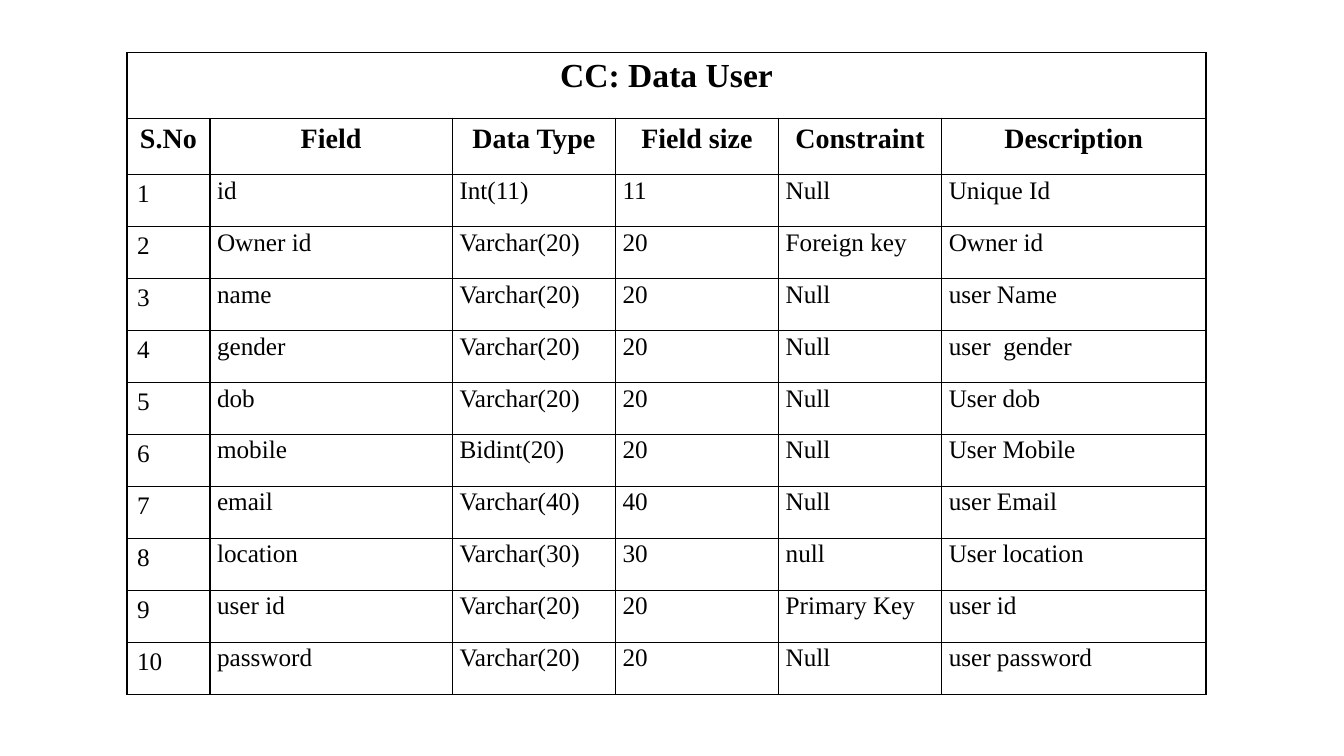
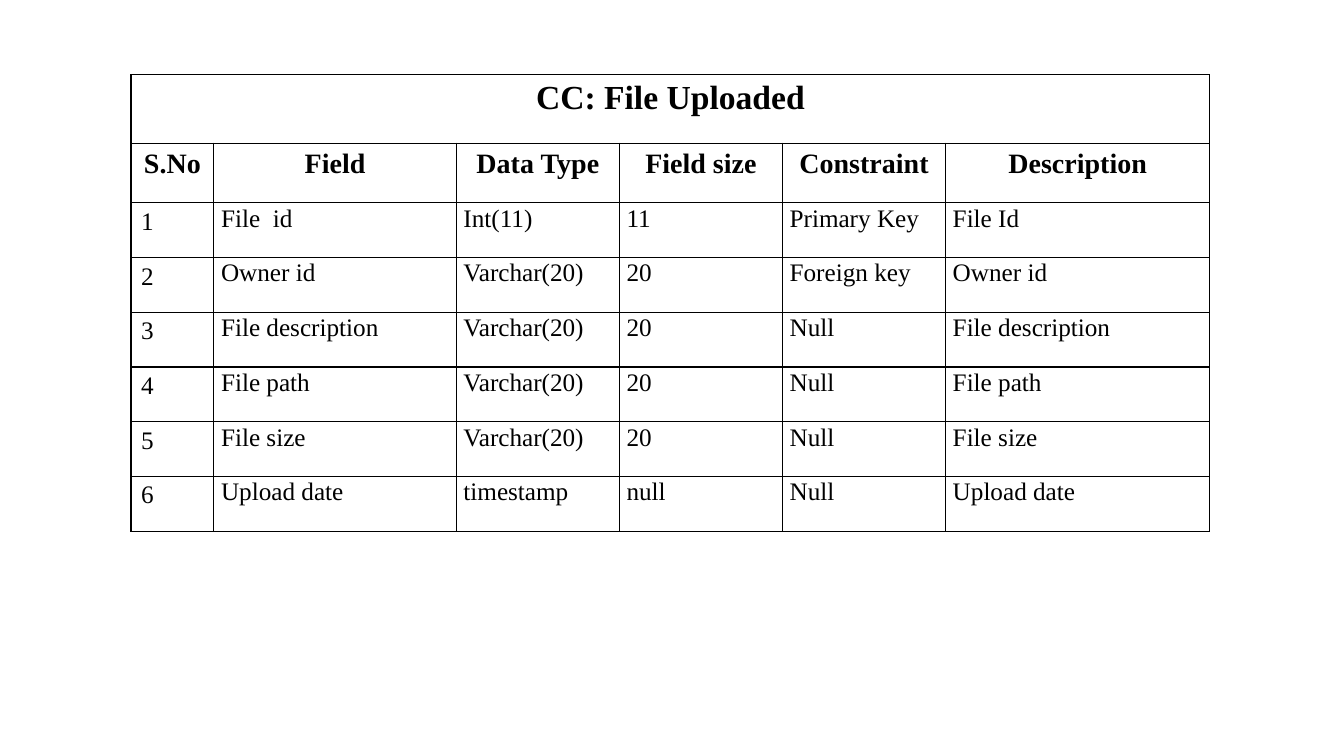
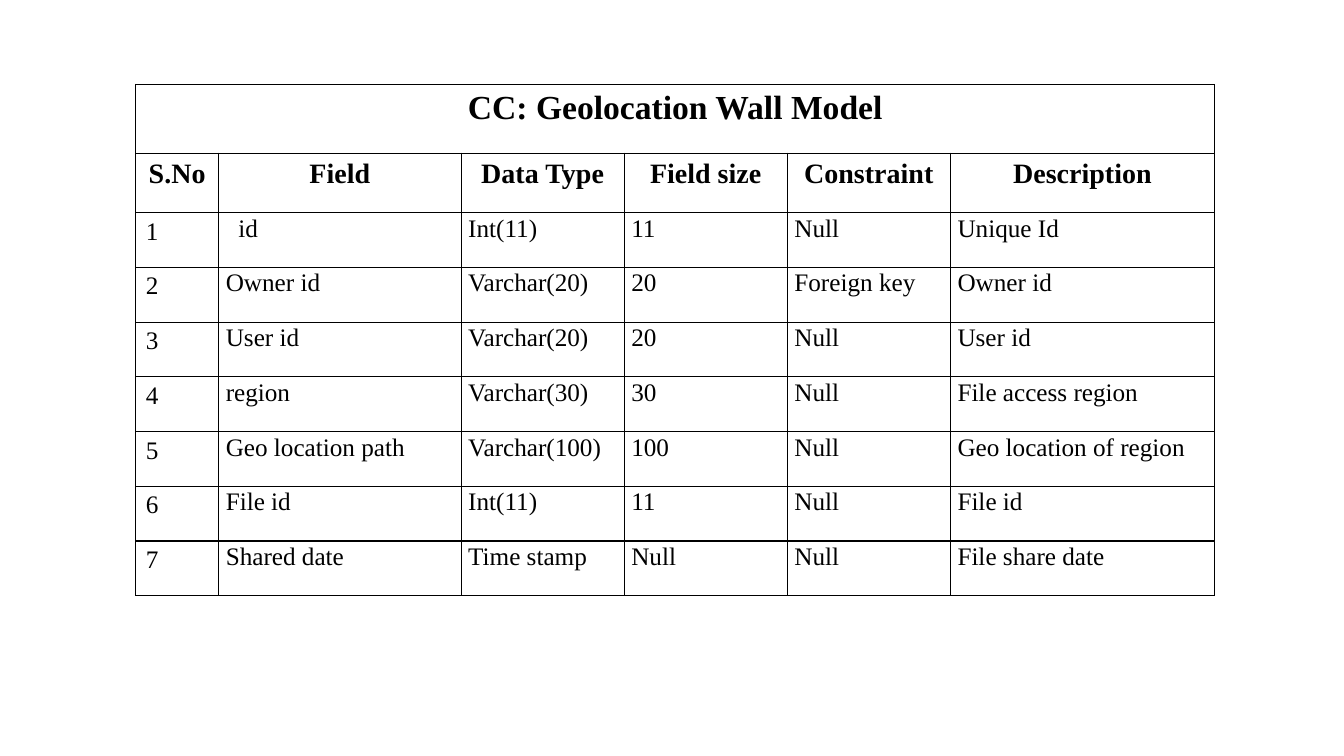
import pptx
import pptx.dml.color
import pptx.enum.text
import pptx.oxml
import pptx.oxml.ns
import pptx.util

Cm = pptx.util.Cm
Pt = pptx.util.Pt

HEADINGS = ("S.No", "Field", "Data Type", "Field size", "Constraint", "Description")
COLUMN_WIDTHS = (2.09, 6.11, 4.11, 4.11, 4.11, 6.66)

USER_FIELDS = [
    ("id", "Int(11)", "11", "Null", "Unique Id"),
    ("Owner id", "Varchar(20)", "20", "Foreign key", "Owner id"),
    ("name", "Varchar(20)", "20", "Null", "user Name"),
    ("gender", "Varchar(20)", "20", "Null", "user  gender"),
    ("dob", "Varchar(20)", "20", "Null", "User dob"),
    ("mobile", "Bidint(20)", "20", "Null", "User Mobile"),
    ("email", "Varchar(40)", "40", "Null", "user Email"),
    ("location", "Varchar(30)", "30", "null", "User location"),
    ("user id", "Varchar(20)", "20", "Primary Key", "user id"),
    ("password", "Varchar(20)", "20", "Null", "user password"),
]
FILE_FIELDS = [
    ("File  id", "Int(11)", "11", "Primary Key", "File Id"),
    ("Owner id", "Varchar(20)", "20", "Foreign key", "Owner id"),
    ("File description", "Varchar(20)", "20", "Null", "File description"),
    ("File path", "Varchar(20)", "20", "Null", "File path"),
    ("File size", "Varchar(20)", "20", "Null", "File size"),
    ("Upload date", "timestamp", "null", "Null", "Upload date"),
]
GEOLOCATION_FIELDS = [
    ("id", "Int(11)", "11", "Null", "Unique Id"),
    ("Owner id", "Varchar(20)", "20", "Foreign key", "Owner id"),
    ("User id", "Varchar(20)", "20", "Null", "User id"),
    ("region", "Varchar(30)", "30", "Null", "File access region"),
    ("Geo location path", "Varchar(100)", "100", "Null", "Geo location of region"),
    ("File id", "Int(11)", "11", "Null", "File id"),
    ("Shared date", "Time stamp", "Null", "Null", "File share date"),
]


def color(hex_string):
    return pptx.dml.color.RGBColor.from_string(hex_string)


class SchemaDeck:
    """Holds the shared style and the slide being filled."""

    FONT = "Times New Roman"
    INK = "000000"
    PAPER = "FFFFFF"
    TITLE_SIZE, HEADING_SIZE, BODY_SIZE = 24, 20, 18

    def __init__(self):
        self.deck = pptx.Presentation()
        self.deck.slide_width = Cm(33.87)
        self.deck.slide_height = Cm(19.05)
        self.slide = None

    def add_slide(self):
        blank_layout = self.deck.slide_layouts[6]
        self.slide = self.deck.slides.add_slide(blank_layout)

    def add_schema(self, title, fields, left, top, row_heights):
        """Draw a table; row_heights gives the title, heading and field rows in cm."""
        title_height, heading_height, field_height = row_heights
        heights = [title_height, heading_height] + [field_height] * len(fields)
        frame = self.slide.shapes.add_table(
            len(heights), len(HEADINGS), Cm(left), Cm(top),
            Cm(sum(COLUMN_WIDTHS)), Cm(sum(heights)))
        table = frame.table
        table.first_row = table.horz_banding = False
        for column, width in zip(table.columns, COLUMN_WIDTHS):
            column.width = Cm(width)
        for row, height in zip(table.rows, heights):
            row.height = Cm(height)
        for cell in table.iter_cells():
            self.style_cell(cell)

        table.cell(0, 0).merge(table.cell(0, len(HEADINGS) - 1))
        self.add_heading(table.cell(0, 0), title, self.TITLE_SIZE)
        for column, heading in enumerate(HEADINGS):
            self.add_heading(table.cell(1, column), heading, self.HEADING_SIZE)
        for number, field in enumerate(fields, start=1):
            self.add_text(table.cell(number + 1, 0), str(number), self.BODY_SIZE)
            for column, value in enumerate(field, start=1):
                self.add_value(table.cell(number + 1, column), value)
        return table

    def style_cell(self, cell):
        properties = cell._tc.get_or_add_tcPr()
        for side in "LRTB":
            properties.append(pptx.oxml.parse_xml(
                f'<a:ln{side} {pptx.oxml.ns.nsdecls("a")} w="{Pt(1)}">'
                f'<a:solidFill><a:srgbClr val="{self.INK}"/></a:solidFill>'
                f'</a:ln{side}>'))
        cell.fill.solid()
        cell.fill.fore_color.rgb = color(self.PAPER)

    def add_text(self, cell, text, size, bold=False):
        para = cell.text_frame.paragraphs[0]
        span = para.add_run()
        span.text = text
        span.font.name = self.FONT
        span.font.size = Pt(size)
        span.font.bold = bold
        span.font.color.rgb = color(self.INK)
        return para

    def add_heading(self, cell, text, size):
        para = self.add_text(cell, text, size, bold=True)
        para.alignment = pptx.enum.text.PP_ALIGN.CENTER

    def add_value(self, cell, text):
        cell.margin_left = cell.margin_right = Cm(0.18)
        cell.margin_top = cell.margin_bottom = 0
        self.add_text(cell, text, self.BODY_SIZE).line_spacing = 1.07

    def indent(self, cell, distance):
        para = cell.text_frame.paragraphs[0]
        para._p.get_or_add_pPr().set("marL", str(Cm(distance)))


def main():
    schema = SchemaDeck()
    compact_rows = (1.65, 1.42, 1.31)
    roomy_rows = (1.73, 1.5, 1.38)

    schema.add_slide()
    schema.add_schema("CC: Data User", USER_FIELDS, 3.2, 1.33, compact_rows)

    schema.add_slide()
    schema.add_schema("CC: File Uploaded", FILE_FIELDS, 3.3, 1.88, roomy_rows)

    schema.add_slide()
    geolocation = schema.add_schema(
        "CC: Geolocation Wall Model", GEOLOCATION_FIELDS, 3.42, 2.13, roomy_rows)
    schema.indent(geolocation.cell(2, 1), 0.32)

    schema.deck.save("out.pptx")


if __name__ == "__main__":
    main()
